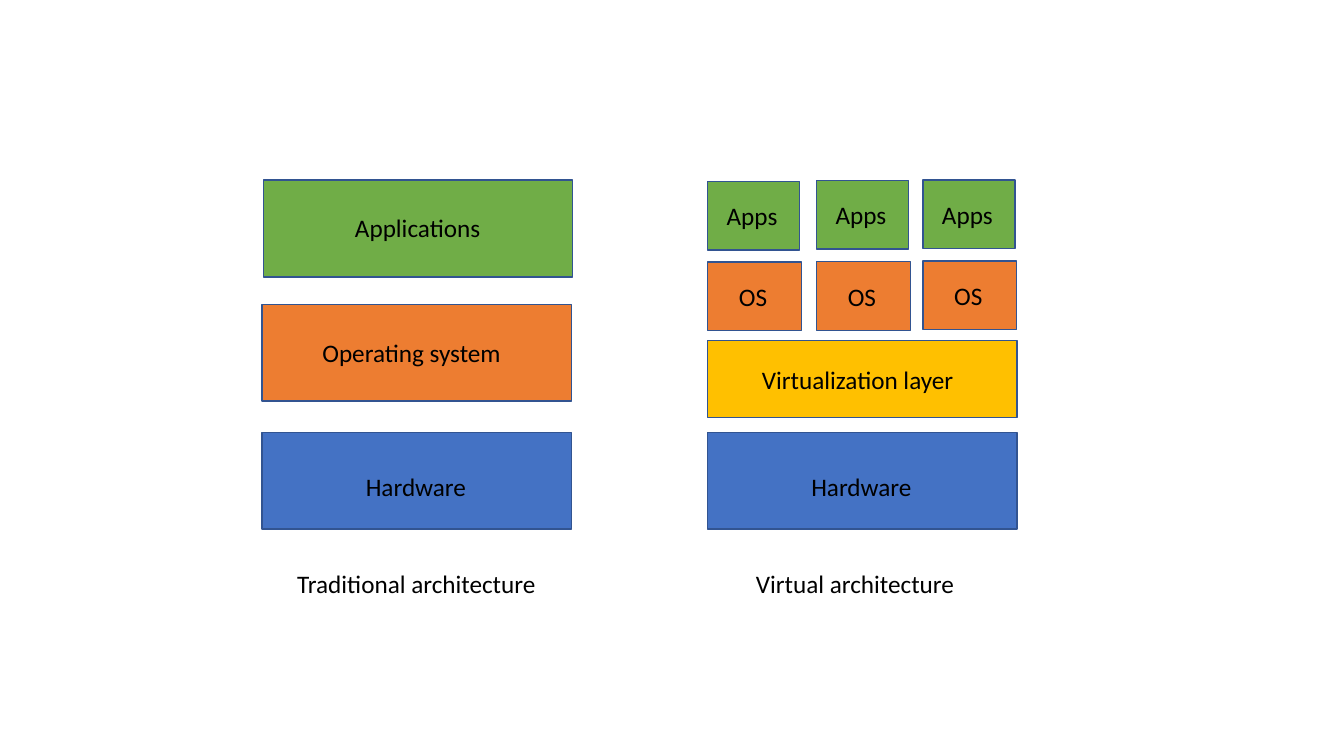
"""Builds a slide comparing traditional and virtual architecture stacks."""
from dataclasses import dataclass

from pptx import Presentation
from pptx.dml.color import RGBColor
from pptx.enum import shapes, text
from pptx.util import Pt

BLUE = RGBColor(0x44, 0x72, 0xC4)
ORANGE = RGBColor(0xED, 0x7D, 0x31)
GREEN = RGBColor(0x70, 0xAD, 0x47)
GOLD = RGBColor(0xFF, 0xC0, 0x00)
EDGE = RGBColor(0x32, 0x54, 0x91)
BLACK = RGBColor(0, 0, 0)


@dataclass(frozen=True)
class Layer:
    """A kind of box, with the inset and width of its label."""
    label: str
    fill: RGBColor
    width: float
    height: float
    dx: float
    dy: float
    span: float


WIDE, TALL = 221, 69.1
HARD = Layer("Hardware", BLUE, WIDE, TALL, 67, 24.5, 87.1)
SYSTEM = Layer("Operating system", ORANGE, WIDE, TALL, 36, 20.2, 149)
PROGRAMS = Layer("Applications", GREEN, WIDE, TALL, 58.3, 19.4, 105.1)
VIRTUAL = Layer("Virtualization layer", GOLD, WIDE, 54.7, 31.7, 13, 157.7)
APPS = Layer("Apps", GREEN, 65.8, 49, 6.6, 10.1, 52.6)
OS = Layer("OS", ORANGE, 67, 49, 15.3, 10.1, 36)

LEFT, RIGHT, BASE = 187.2, 505.4, 308.9
GUESTS = ((RIGHT, 129.6, 187.2), (583.2, 128.9, 187), (659.2, 128.7, 186.5))


def write(slide, words: str, x: float, y: float, width: float, *,
          size: float = 18, font: str = "Calibri",
          color: RGBColor = BLACK, wrap: bool = True) -> None:
    """Place one line of text."""
    frame = slide.shapes.add_textbox(Pt(x), Pt(y), Pt(width), Pt(29.1)).text_frame
    frame.word_wrap = wrap
    frame.auto_size = text.MSO_AUTO_SIZE.SHAPE_TO_FIT_TEXT
    run = frame.paragraphs[0].add_run()
    run.text = words
    run.font.size, run.font.name = Pt(size), font
    run.font.color.rgb = color


def draw(slide, layer: Layer, x: float, y: float) -> None:
    """Draw a layer and its label."""
    box = slide.shapes.add_shape(shapes.MSO_SHAPE.RECTANGLE, Pt(x), Pt(y),
                                 Pt(layer.width), Pt(layer.height))
    box.shadow.inherit = False
    box.fill.solid()
    box.fill.fore_color.rgb = layer.fill
    box.line.color.rgb = EDGE
    box.line.width = Pt(1)
    write(slide, layer.label, x + layer.dx, y + layer.dy, layer.span)


def main() -> None:
    """Build and save the slide."""
    deck = Presentation()
    deck.slide_width, deck.slide_height = Pt(960), Pt(540)
    slide = deck.slides.add_slide(deck.slide_layouts[6])

    draw(slide, HARD, LEFT, BASE)
    draw(slide, SYSTEM, LEFT, 217.4)
    draw(slide, PROGRAMS, 188.2, 128.7)

    draw(slide, HARD, RIGHT, BASE)
    draw(slide, VIRTUAL, RIGHT, 243.4)
    for x, top, low in GUESTS:
        draw(slide, APPS, x, top)
        draw(slide, OS, x, low)

    write(slide, "Traditional architecture", 205.2, 402.5, 186.5, wrap=False)
    write(slide, "Virtual architecture", 532.8, 402.5, 157.7, wrap=False)
    deck.save("out.pptx")


main()
